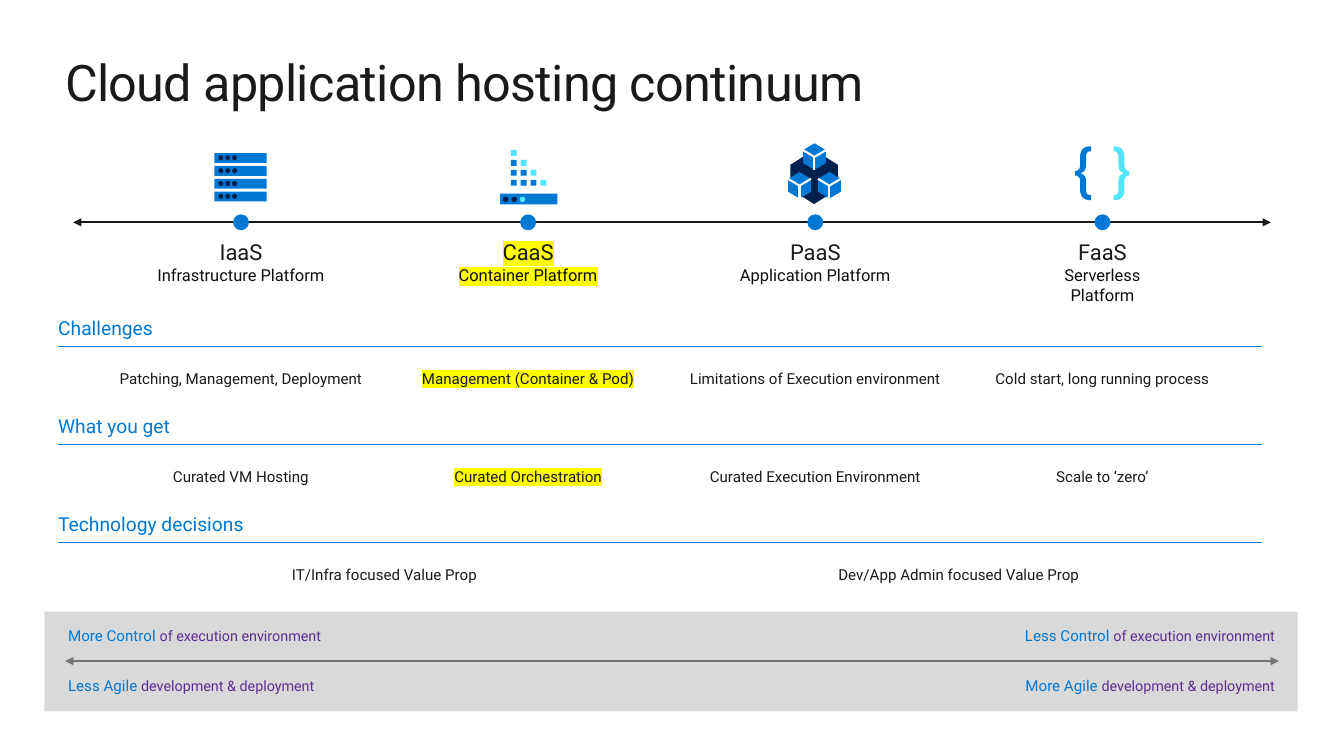
"""Build the cloud hosting continuum slide."""
from lxml import etree
from pptx import Presentation
from pptx.dml.color import RGBColor
from pptx.enum import shapes, text
from pptx.oxml import ns
from pptx.util import Pt

HUES = {"ink": "1A1A1A", "black": "0D0D0D", "blue": "0078D4", "navy": "002050",
        "cyan": "50E6FF", "purple": "5C2D91", "band": "D9D9D9", "gray": "737373",
        "mark": "FFFF00", "white": "FFFFFF"}
FORMS = {"title": ("ink", 36.7), "name": ("ink", 16), "kind": ("black", 12),
         "item": ("ink", 11), "head": ("blue", 14), "lead": ("blue", 11),
         "rest": ("purple", 10.5)}
KIND = shapes.MSO_SHAPE
LEFT, MID, RIGHT = text.PP_ALIGN.LEFT, text.PP_ALIGN.CENTER, text.PP_ALIGN.RIGHT
FIRST, STEP, ROW = 175.6, 209.2, 71.5

STAGES = [("IaaS", "Infrastructure Platform", 138), ("CaaS", "Container Platform", 118),
          ("PaaS", "Application Platform", 126), ("FaaS", "Serverless Platform", 118)]
ROWS = [
    ("Challenges", 110, [(0, "Patching, Management, Deployment", 211),
                         (1, "Management (Container & Pod)", 200),
                         (2, "Limitations of Execution environment", 200),
                         (3, "Cold start, long running process", 177)]),
    ("What you get", 110, [(0, "Curated VM Hosting", 139),
                           (1, "Curated Orchestration", 132),
                           (2, "Curated Execution Environment", 170),
                           (3, "Scale to ‘zero’", 95)]),
    ("Technology decisions", 153, [(0.5, "IT/Infra focused Value Prop", 177),
                                   (2.5, "Dev/App Admin focused Value Prop", 206)]),
]
TRADES = [("More Control ", "Less Control ", "of execution environment", 453),
          ("Less Agile ", "More Agile ", "development & deployment", 489.6)]
CURVE = [[(2.2, 18), (3.6, 16.5), (3.6, 13.7)], [(3.6, 7.9)],
         [(3.6, 5), (4.3, 3.6), (5.2, 2.2)], [(6.5, 0.7), (8.6, 0), (11.5, 0)],
         [(11.5, 3.6)], [(8.6, 3.6), (7.9, 5), (7.9, 7.9)], [(7.9, 13.7)],
         [(7.9, 17.3), (6.5, 18.7), (4.3, 19.4)]]


def hue(name):
    return RGBColor.from_string(HUES[name])


def center(col):
    return FIRST + STEP * col


def add_run(para, words, form, mark=False):
    run = para.add_run()
    run.text = words
    tint, size = FORMS[form]
    run.font.color.rgb = hue(tint)
    if mark:
        light = etree.SubElement(run.font._element, ns.qn("a:highlight"))
        etree.SubElement(light, ns.qn("a:srgbClr"), val=HUES["mark"])
    for key, val in {"name": "Roboto", "size": Pt(size), "bold": False}.items():
        setattr(run.font, key, val)
    return run


def add_text(host, x, y, w, h, lines, align=LEFT, mark=False):
    frame = host.add_textbox(Pt(x), Pt(y), Pt(w), Pt(h)).text_frame
    frame.word_wrap = True
    for num, line in enumerate(lines):
        para = frame.add_paragraph() if num else frame.paragraphs[0]
        para.alignment = align
        for words, form in line:
            add_run(para, words, form, mark)


def paint(shape, tint, edge=None):
    shape.shadow.inherit = False
    shape.fill.solid()
    shape.fill.fore_color.rgb = hue(tint)
    if edge:
        shape.line.color.rgb = hue(edge)
        shape.line.width = Pt(1.5)
    else:
        shape.line.fill.background()


def add_block(host, kind, x, y, w, h, tint):
    shape = host.add_shape(kind, Pt(x), Pt(y), Pt(w), Pt(h))
    paint(shape, tint)
    return shape


def add_free(host, points, tint, edge=None):
    first, *rest = [(Pt(x), Pt(y)) for x, y in points]
    maker = host.build_freeform(*first)
    maker.add_line_segments(rest, close=edge is None)
    paint(maker.convert_to_shape(), tint, edge)


def add_line(host, x, y, end_x, end_y, tint, width, arrows=False):
    line = host.add_connector(shapes.MSO_CONNECTOR.STRAIGHT, Pt(x), Pt(y), Pt(end_x), Pt(end_y))
    line.line.color.rgb = hue(tint)
    line.line.width = Pt(width)
    if arrows:
        for tag in ("a:headEnd", "a:tailEnd"):
            etree.SubElement(line.line._get_or_add_ln(), ns.qn(tag), type="triangle")
    etree.SubElement(line._element.spPr, ns.qn("a:effectLst"))


def draw_server(host):
    for row in range(4):
        top = 111.6 + 9.35 * row
        add_block(host, KIND.RECTANGLE, 156.2, top, 38.2, 7.2, "blue")
        for dot in range(3):
            add_block(host, KIND.OVAL, 159.1 + 5 * dot, top + 1.6, 3.6, 3.6, "navy")


def draw_stack(host):
    add_block(host, KIND.RECTANGLE, 364.3, 141.1, 41.8, 7.9, "blue")
    for dot, tint in enumerate(("navy", "navy", "cyan")):
        add_block(host, KIND.OVAL, 366.5 + 6.1 * dot, 143.3, 4, 4, tint)
    for row in range(4):
        for col in range(row + 1):
            add_block(host, KIND.RECTANGLE, 372.2 + 7.2 * col, 109.4 + 7.2 * row,
                      4.3, 4.3, "cyan" if col == row else "blue")


def draw_cubes(host):
    core = add_block(host, KIND.HEXAGON, 573.3, 111.6, 39.6, 34.6, "navy")
    core.rotation = 90
    core.adjustments[0], core.adjustments[1] = 0.317, 1.155
    for x, y in ((604.3, 125.3), (582.5, 125.3), (593.4, 104.4)):
        west, east = x - 8.3, x + 8.3
        add_free(host, [(west, y + 5), (x, y), (east, y + 5), (east, y + 14.4),
                        (x, y + 19.4), (west, y + 14.4)], "blue")
        add_free(host, [(east, y + 5), (x, y + 10), (west, y + 5)], "blue", "white")
        add_line(host, x, y + 9.7, x, y + 19.4, "white", 1.5)


def trace_brace():
    points = [(0, 18)]
    for part in CURVE:
        if len(part) == 1:
            points += part
            continue
        knots = [points[-1], *part]
        for t in (0.2, 0.4, 0.6, 0.8, 1):
            rates = ((1 - t) ** 3, 3 * t * (1 - t) ** 2, 3 * t * t * (1 - t), t ** 3)
            points.append(tuple(sum(r * k[axis] for r, k in zip(rates, knots))
                                for axis in (0, 1)))
    return points + [(x, 39.3 - y) for x, y in reversed(points)]


def draw_braces(host):
    for edge, side, tint in ((783.4, 1, "blue"), (822.8, -1, "cyan")):
        add_free(host, [(edge + side * x, 106.6 + y) for x, y in trace_brace()], tint)


def set_title(slide):
    title = slide.shapes.title
    spot = {"left": 47.5, "top": 36.7, "width": 885, "height": 44.6}
    for key, val in spot.items():
        setattr(title, key, Pt(val))
    frame = title.text_frame
    form = {"margin_left": 0, "margin_right": 0, "margin_top": 0, "margin_bottom": 0,
            "word_wrap": True, "auto_size": text.MSO_AUTO_SIZE.NONE,
            "vertical_anchor": text.MSO_ANCHOR.MIDDLE}
    for key, val in form.items():
        setattr(frame, key, val)
    para = frame.paragraphs[0]
    para.alignment = LEFT
    run = add_run(para, "Cloud application hosting continuum", "title")
    run.font._element.set("spc", "-50")


def add_stages(host):
    add_line(host, 53.3, 162, 925.9, 162, "ink", 1.5, arrows=True)
    for col, (name, kind, wide) in enumerate(STAGES):
        x = center(col)
        add_block(host, KIND.OVAL, x - 5.8, 156.2, 11.6, 11.6, "blue")
        add_text(host, x - wide / 2, 170.6, wide, 41.8,
                 [[(name, "name")], [(kind, "kind")]], MID, col == 1)
    for draw in (draw_server, draw_stack, draw_cubes, draw_braces):
        draw(host.add_group_shape().shapes)


def add_rows(host):
    for num, (head, wide, items) in enumerate(ROWS):
        drop = ROW * num
        add_text(host, 35.3, 226.8 + drop, wide, 24.5, [[(head, "head")]])
        add_line(host, 42.5, 252 + drop, 919.4, 252 + drop, "blue", 0.5)
        for col, words, span in items:
            add_text(host, center(col) - span / 2, 265.3 + drop, span, 21,
                     [[(words, "item")]], MID, col == 1)


def add_trades(host):
    add_block(host, KIND.RECTANGLE, 32.4, 445.7, 913, 72.7, "band")
    add_line(host, 47.5, 481.7, 931.7, 481.7, "gray", 1, arrows=True)
    for west, east, rest, y in TRADES:
        add_text(host, 42.5, y, 209, 21, [[(west, "lead"), (rest, "rest")]])
        add_text(host, 727, y, 209, 21, [[(east, "lead"), (rest, "rest")]], RIGHT)


def main():
    deck = Presentation()
    deck.slide_width, deck.slide_height = Pt(979.2), Pt(550.8)
    slide = deck.slides.add_slide(deck.slide_layouts[5])
    set_title(slide)
    for build in (add_stages, add_rows, add_trades):
        build(slide.shapes)
    deck.save("out.pptx")


if __name__ == "__main__":
    main()
